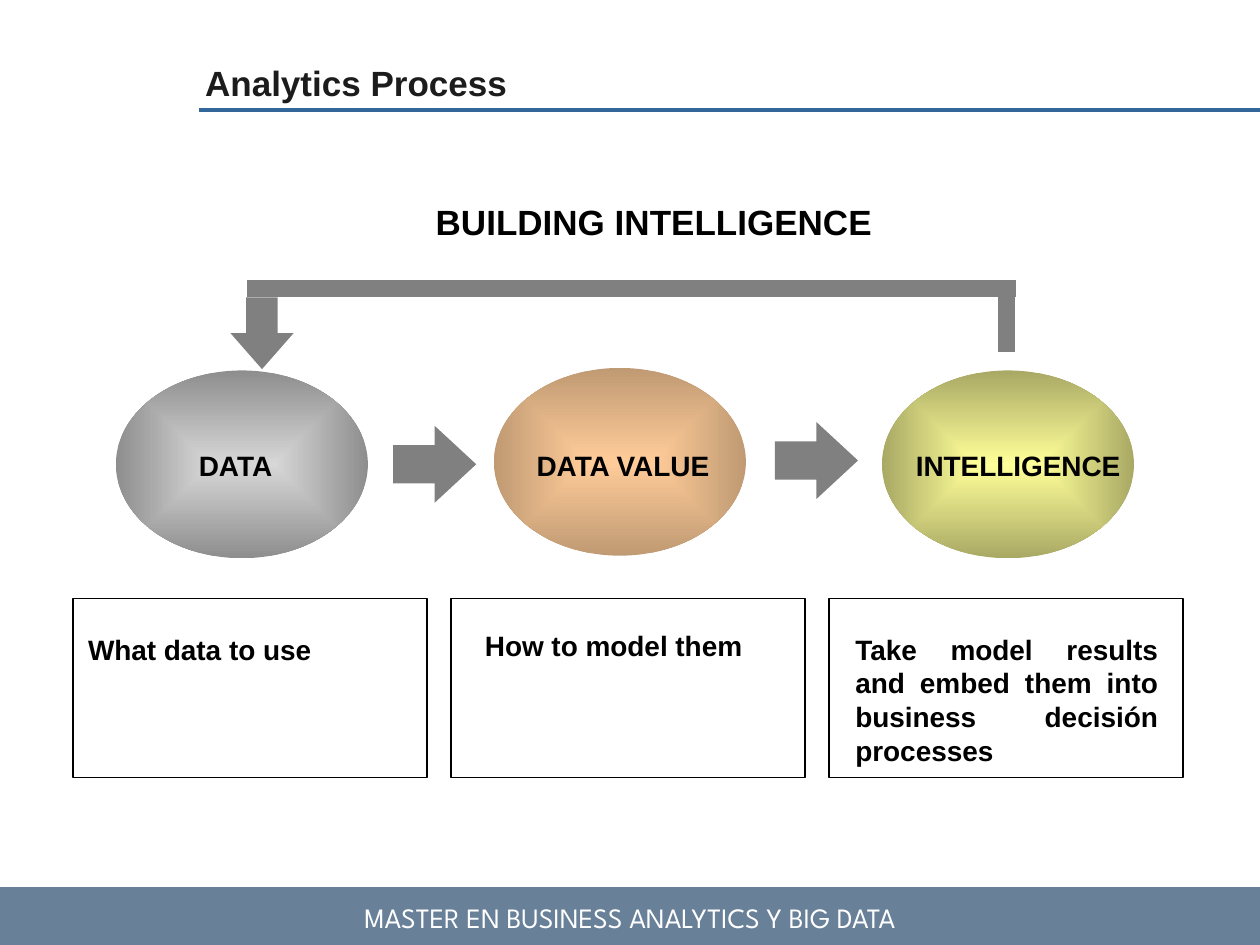
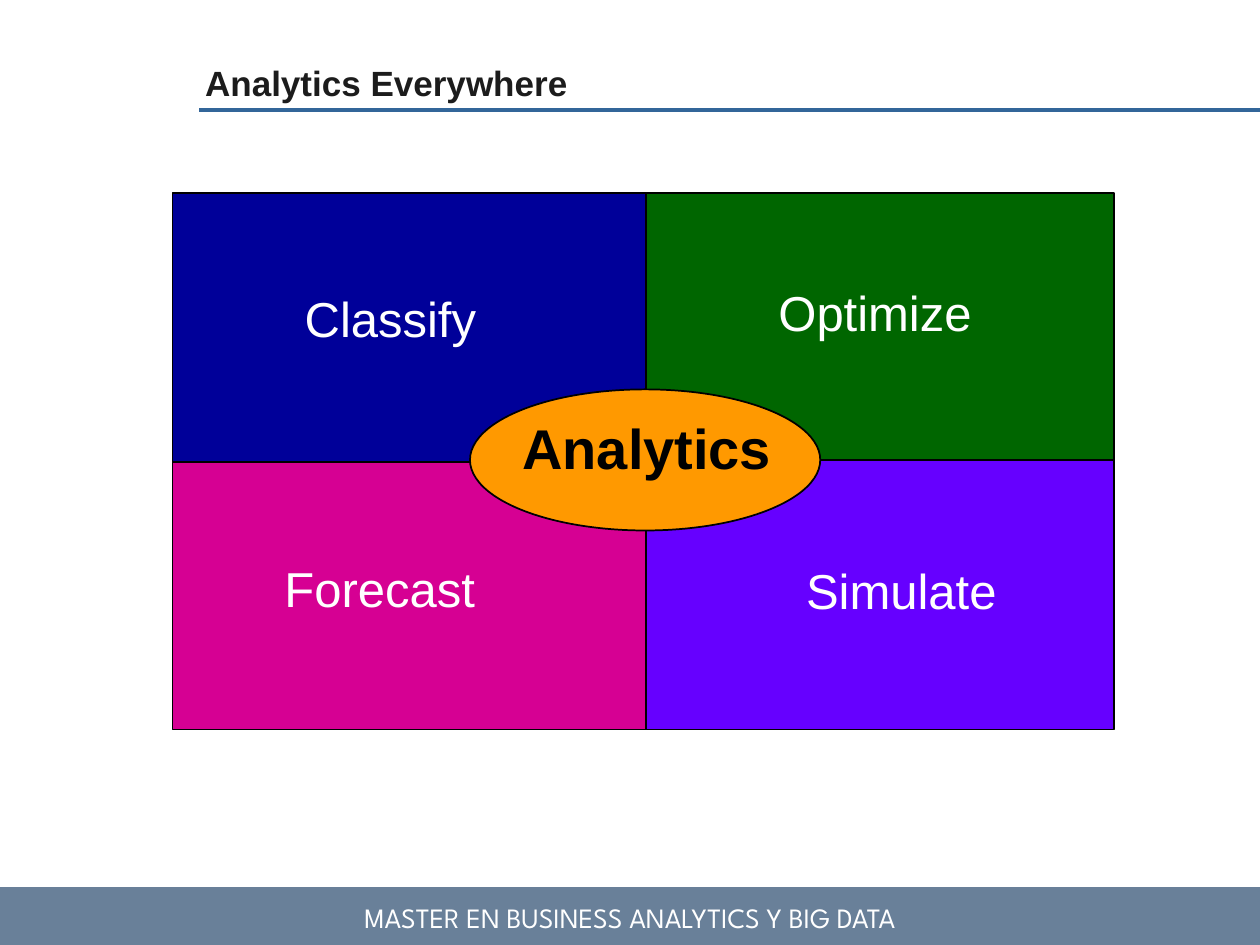
from dataclasses import dataclass

from lxml import etree
from pptx import Presentation
from pptx.dml.color import RGBColor
from pptx.enum.shapes import MSO_CONNECTOR, MSO_SHAPE
from pptx.enum.text import MSO_ANCHOR, PP_ALIGN
from pptx.oxml.ns import qn
from pptx.util import Inches, Pt

RECTANGLE, ELLIPSE = MSO_SHAPE.RECTANGLE, MSO_SHAPE.OVAL
RIGHT_ARROW, DOWN_ARROW = MSO_SHAPE.RIGHT_ARROW, MSO_SHAPE.DOWN_ARROW
STRAIGHT = MSO_CONNECTOR.STRAIGHT
LEFT, CENTER, JUSTIFY = PP_ALIGN.LEFT, PP_ALIGN.CENTER, PP_ALIGN.JUSTIFY
TOP, BOTTOM = MSO_ANCHOR.TOP, MSO_ANCHOR.BOTTOM


@dataclass(frozen=True)
class Theme:
    font: str = "Arial"
    footer_font: str = "League Spartan"
    title: str = "1C1C1C"
    rule: str = "336699"
    footer: str = "698099"
    arrow: str = "808080"
    black: str = "000000"
    white: str = "FFFFFF"
    hub: str = "FF9900"
    body_size: int = 16
    title_size: int = 20
    quadrant_size: int = 28
    hub_size: int = 32


THEME = Theme()
FOOTER = "MASTER EN BUSINESS ANALYTICS Y BIG DATA"

# Label, label box, ellipse position, centre and edge colours
STAGES = [
    ("DATA", (1.48, 3.51, 1.02, 0.36), (0.92, 2.94), "D7D7D7", "8E8E8E"),
    ("DATA VALUE", (4.16, 3.51, 1.59, 0.36), (3.92, 2.92), "FFCC99", "C09A73"),
    ("INTELLIGENCE", (7.17, 3.51, 1.83, 0.36), (7, 2.94), "FFFF99", "A9A965"),
]
STAGE_SIZE = (2, 1.49)
QUESTIONS = [
    ("What data to use", (0.6, 4.97, 2.75, 0.37)),
    ("How to model them", (3.75, 4.94, 2.49, 0.37)),
    ("Take model results and embed them into business decisión processes",
     (6.69, 4.97, 2.6, 1.18)),
]
QUESTION_LEFT, QUESTION_STEP = 0.58, 3
STAGE_ARROWS = [(3.12, 3.38), (6.15, 3.35)]
FEEDBACK_LINES = [(1.96, 2.29, 8.06, 2.29), (7.99, 2.35, 7.99, 2.79)]

# Label, label box, column, row, colour, from back to front
QUADRANTS = [
    ("Optimize", (6.08, 2.19, 1.99, 0.57), 1, 0, "006600"),
    ("Simulate", (6.3, 4.4, 1.8, 0.57), 1, 1, "6600FF"),
    ("Forecast", (2.16, 4.38, 1.8, 0.57), 0, 1, "D60093"),
    ("Classify", (2.32, 2.24, 1.6, 0.57), 0, 0, "000099"),
]
QUADRANT_SIZE = (3.76, 2.14)
QUADRANT_LEFTS, QUADRANT_TOPS = (1.37, 5.08), (1.53, 3.65)


def color(value):
    return RGBColor.from_string(value)


def add_block(page, kind, box, fill=None, outline=None):
    shape = page.shapes.add_shape(kind, *map(Inches, box))
    shape.shadow.inherit = False
    if fill:
        shape.fill.solid()
        shape.fill.fore_color.rgb = color(fill)
    if outline:
        shape.line.color.rgb = color(outline)
        shape.line.width = Pt(1)
    else:
        shape.line.fill.background()
    return shape


def add_glow(shape, center, edge):
    """Fill a shape with a gradient that spreads from its centre."""
    shape.fill.gradient()
    for stop, position, value in zip(shape.fill.gradient_stops, (0, 1), (center, edge)):
        stop.position = position
        stop.color.rgb = color(value)
    gradient = shape.element.spPr.find(qn("a:gradFill"))
    gradient.remove(gradient.find(qn("a:lin")))
    spread = etree.SubElement(gradient, qn("a:path"), {"path": "shape"})
    sides = dict.fromkeys("ltrb", "50000")
    etree.SubElement(spread, qn("a:fillToRect"), sides)


def add_line(page, ends, value, width):
    line = page.shapes.add_connector(STRAIGHT, *map(Inches, ends))
    line.line.color.rgb = color(value)
    line.line.width = Pt(width)
    etree.SubElement(line.element.spPr, qn("a:effectLst"))


def add_text(page, words, box, size, value=THEME.black, bold=False, align=LEFT,
             font=THEME.font, anchor=TOP, spacing=None):
    frame = page.shapes.add_textbox(*map(Inches, box)).text_frame
    frame.word_wrap = True
    frame.vertical_anchor = anchor
    para = frame.paragraphs[0]
    para.alignment = align
    if spacing:
        para.line_spacing = spacing
    span = para.add_run()
    span.text = words
    span.font.name = font
    span.font.size = Pt(size)
    span.font.bold = bold
    span.font.color.rgb = color(value)


def add_page(deck, title):
    """Add a blank page with the shared title, rule and footer band."""
    page = deck.slides.add_slide(deck.slide_layouts[6])
    add_block(page, RECTANGLE, (0, 7.04, 10, 0.46), THEME.footer)
    add_line(page, (1.58, 0.87, 10, 0.87), THEME.rule, 2.25)
    add_text(page, FOOTER, (0, 7.1, 10, 0.37), THEME.body_size, THEME.white,
             align=CENTER, font=THEME.footer_font)
    add_text(page, title, (1.53, -0.21, 8.36, 1.08), THEME.title_size, THEME.title,
             bold=True, anchor=BOTTOM, spacing=1.5)
    return page


def add_process(deck):
    page = add_page(deck, "Analytics Process")
    add_text(page, "BUILDING INTELLIGENCE", (3.36, 1.54, 3.8, 0.43),
             THEME.title_size, bold=True)
    for index, (words, box) in enumerate(QUESTIONS):
        frame_left = QUESTION_LEFT + index * QUESTION_STEP
        add_block(page, RECTANGLE, (frame_left, 4.75, 2.81, 1.42), THEME.white, THEME.black)
        add_text(page, words, box, THEME.body_size, bold=True, align=JUSTIFY)
    for label, box, position, center, edge in STAGES:
        add_glow(add_block(page, ELLIPSE, position + STAGE_SIZE), center, edge)
        add_text(page, label, box, THEME.body_size, bold=True)
    for position in STAGE_ARROWS:
        arrow = add_block(page, RIGHT_ARROW, position + (0.66, 0.61), THEME.arrow)
        arrow.adjustments[1] = 0.54
    arrow = add_block(page, DOWN_ARROW, (1.83, 2.36, 0.5, 0.57), THEME.arrow)
    arrow.adjustments[1] = 0.57
    for ends in FEEDBACK_LINES:
        add_line(page, ends, THEME.arrow, 10)


def add_everywhere(deck):
    page = add_page(deck, "Analytics Everywhere")
    for _, _, column, row, fill in QUADRANTS:
        corner = (QUADRANT_LEFTS[column], QUADRANT_TOPS[row])
        add_block(page, RECTANGLE, corner + QUADRANT_SIZE, fill, THEME.black)
    for label, box, *_ in QUADRANTS:
        add_text(page, label, box, THEME.quadrant_size, THEME.white)
    add_block(page, ELLIPSE, (3.73, 3.09, 2.78, 1.12), THEME.hub, THEME.black)
    add_text(page, "Analytics", (3.9, 3.23, 2.47, 0.64), THEME.hub_size,
             bold=True, align=CENTER)


def main():
    deck = Presentation()
    deck.slide_width, deck.slide_height = Inches(10), Inches(7.5)
    add_process(deck)
    add_everywhere(deck)
    deck.save("out.pptx")


if __name__ == "__main__":
    main()
